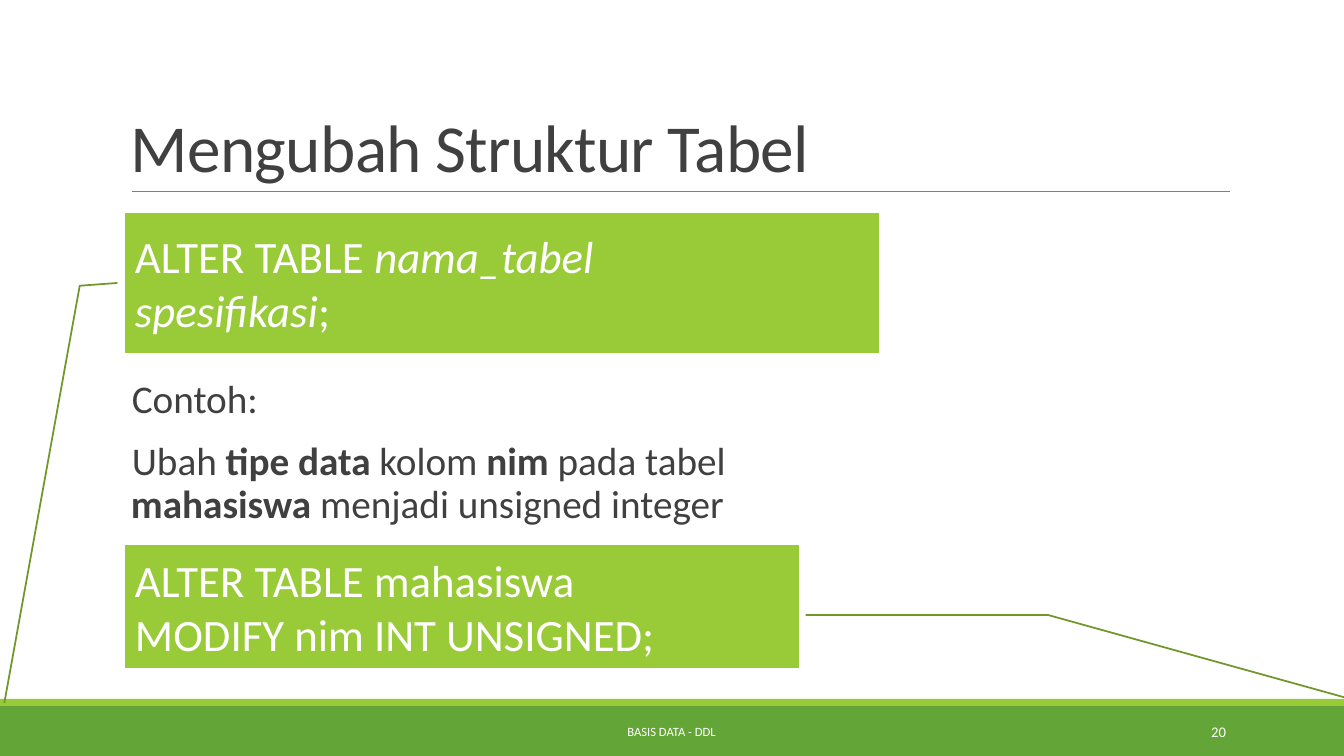
from lxml import etree
from pptx import Presentation
from pptx.dml.color import RGBColor
from pptx.enum.shapes import MSO_CONNECTOR, MSO_SHAPE
from pptx.enum.text import MSO_ANCHOR as ANCHOR, MSO_AUTO_SIZE, PP_ALIGN as ALIGN
from pptx.oxml.ns import qn
from pptx.util import Emu, Pt

DARK = RGBColor(0x40, 0x40, 0x40)
GRAY = RGBColor(0x80, 0x80, 0x80)
WHITE = RGBColor(0xFF, 0xFF, 0xFF)
GREEN = RGBColor(0x63, 0xA5, 0x37)
LIME = RGBColor(0x99, 0xCB, 0x38)
OLIVE = RGBColor(0x71, 0x96, 0x29)


def px(n):
    return Emu(round(n * 914400 / 100.8))


def place(shape, box):
    shape.left, shape.top, shape.width, shape.height = map(px, box)


def write(shape, paras, size, color, align=ALIGN.LEFT, anchor=ANCHOR.MIDDLE,
          space=None, before=0, after=0, inset=(10, 5)):
    """Fill a shape; each paragraph is a list of (text, style), style "", "b" or "i"."""
    frame = shape.text_frame
    frame.word_wrap = True
    frame.auto_size = MSO_AUTO_SIZE.NONE
    frame.vertical_anchor = anchor
    frame.margin_left = frame.margin_right = px(inset[0])
    frame.margin_top = frame.margin_bottom = px(inset[1])
    for i, runs in enumerate(paras):
        para = frame.add_paragraph() if i else frame.paragraphs[0]
        para.alignment = align
        para.line_spacing = space
        para.space_before, para.space_after = Pt(before), Pt(after)
        for text, style in runs:
            run = para.add_run()
            run.text = text
            font = run.font
            font.name, font.size = "Calibri", Pt(size)
            font.color.rgb = color
            font.bold, font.italic = style == "b", style == "i"


def add_bar(slide, box, color):
    bar = slide.shapes.add_shape(MSO_SHAPE.RECTANGLE, *map(px, box))
    bar.shadow.inherit = False
    bar.fill.solid()
    bar.fill.fore_color.rgb = color
    bar.line.fill.background()


def add_rule(slide, x1, x2, y):
    rule = slide.shapes.add_connector(MSO_CONNECTOR.STRAIGHT, px(x1), px(y), px(x2), px(y))
    rule.line.color.rgb = GRAY
    rule.line.width = Pt(0.5)
    etree.SubElement(rule._element.spPr, qn("a:effectLst"))


def add_title(slide, text):
    title = slide.shapes.title
    place(title, (121, 31, 1109, 160))
    write(title, [[(text, "")]], 48, DARK, anchor=ANCHOR.BOTTOM, space=0.85)
    for run in title.text_frame.paragraphs[0].runs:
        run.font._element.set("spc", "-50")


def add_body(slide, paras):
    body = slide.placeholders[1]
    place(body, (121, 375, 758, 176))
    write(body, paras, 28, DARK, anchor=ANCHOR.TOP, space=0.9,
          before=12, after=2, inset=(0, 5))
    for para in body.text_frame.paragraphs:
        props = para._p.get_or_add_pPr()
        props.set("marL", str(px(10)))
        props.set("indent", str(-px(10)))
        tint = etree.SubElement(props, qn("a:buClr"))
        etree.SubElement(tint, qn("a:srgbClr"), val=str(LIME))
        etree.SubElement(props, qn("a:buChar"), char=" ")


def add_label(slide, box, text, size, align):
    label = slide.shapes.add_textbox(*map(px, box))
    write(label, [[(text, "")]], size, WHITE, align=align)


def add_code(slide, box, bends, paras):
    """Add a callout; bends are the y, x pairs of its leader line."""
    code = slide.shapes.add_shape(MSO_SHAPE.LINE_CALLOUT_2_NO_BORDER, *map(px, box))
    code.shadow.inherit = False
    for i, bend in enumerate(bends):
        code.adjustments[i] = bend
    code.fill.solid()
    code.fill.fore_color.rgb = LIME
    code.line.color.rgb = OLIVE
    code.line.width = Pt(1.25)
    write(code, paras, 32, WHITE)


def main():
    deck = Presentation()
    deck.slide_width, deck.slide_height = px(1344), px(756)
    slide = deck.slides.add_slide(deck.slide_layouts[1])

    add_bar(slide, (0, 706, 1344, 50), GREEN)
    add_bar(slide, (0, 699, 1344, 7), LIME)
    add_rule(slide, 132, 1230, 191)
    add_title(slide, "Mengubah Struktur Tabel")
    add_body(slide, [
        [("Contoh:", "")],
        [("Ubah ", ""), ("tipe data", "b"), (" kolom ", ""), ("nim", "b"),
         (" pada tabel ", ""), ("mahasiswa ", "b"), ("menjadi unsigned integer", "")],
    ])
    add_label(slide, (406, 712, 531, 40), "BASIS DATA - DDL", 9, ALIGN.CENTER)
    add_label(slide, (1092, 712, 144, 40), "20", 10.5, ALIGN.RIGHT)
    add_code(slide, (125, 213, 754, 140), (0.5, -0.01, 0.52, -0.06, 3.5, -0.16), [
        [("ALTER TABLE ", ""), ("nama_tabel", "i")],
        [("spesifikasi", "i"), (";", "")],
    ])
    add_code(slide, (125, 545, 674, 123), (0.57, 1.01, 0.57, 1.37, 1.24, 1.81), [
        [("ALTER TABLE mahasiswa", "")],
        [("MODIFY nim INT UNSIGNED;", "")],
    ])
    deck.save("out.pptx")


if __name__ == "__main__":
    main()
